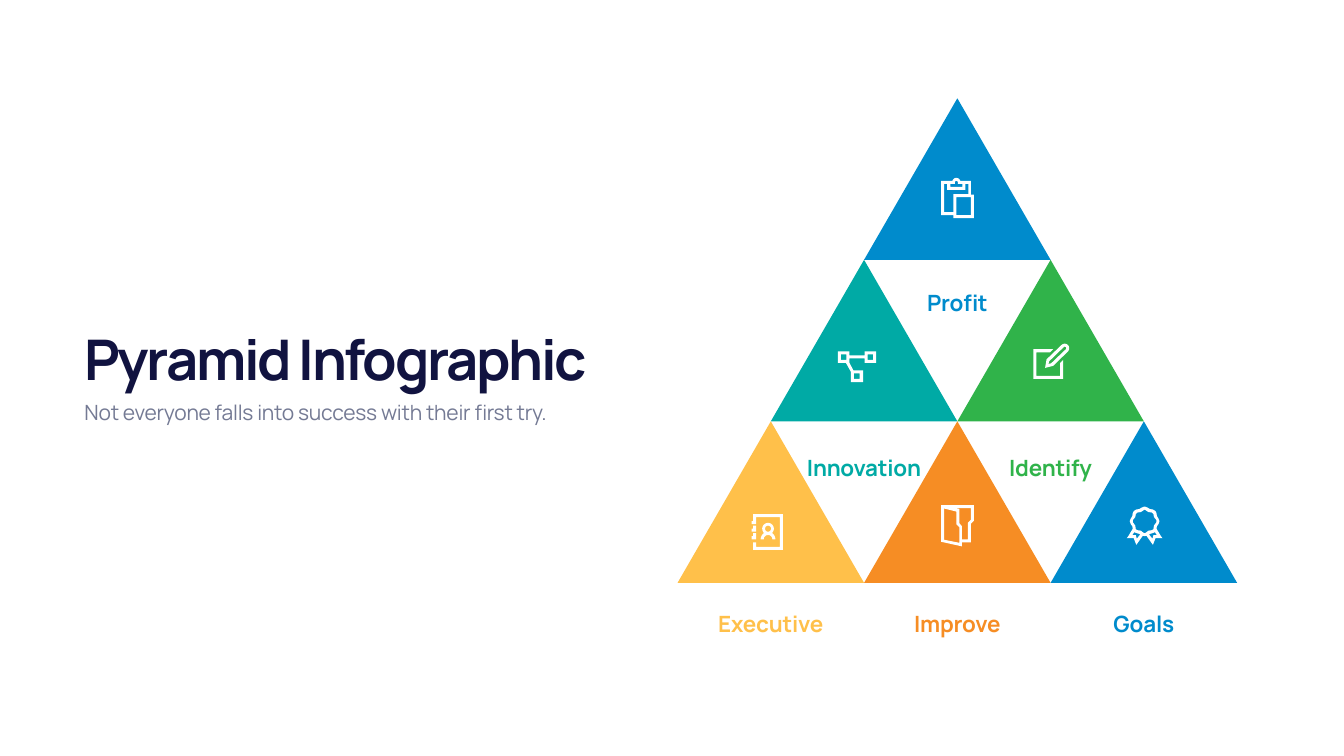
from math import cos, radians, sin

from pptx import Presentation
from pptx.dml.color import RGBColor
from pptx.enum.shapes import MSO_SHAPE
from pptx.enum.text import MSO_ANCHOR as ANCHOR, MSO_AUTO_SIZE as FIT, PP_ALIGN as ALIGN
from pptx.util import Inches, Pt

COLORS = {
    "blue": "008BCC", "orange": "F68D24", "yellow": "FFC04A", "teal": "00AAA5",
    "green": "30B34A", "white": "FFFFFF", "navy": "111340", "gray": "747A94",
}
FONT = "Manrope"
ROWS = [
    [("Profit", "blue")],
    [("Innovation", "teal"), ("Identify", "green")],
    [("Executive", "yellow"), ("Improve", "orange"), ("Goals", "blue")],
]
LABEL_TOPS = [5.69, 8.96, 12.05]
CENTER, TOP, WIDTH, HEIGHT = 18.99, 1.95, 3.7, 3.205
LABEL_WIDTH = 3.23
UNITS_PER_INCH = 1000


def rgb(name):
    """Return the named colour."""
    return RGBColor.from_string(COLORS[name])


def box(x, y, w, h):
    """Return the corners of a rectangle."""
    return [(x, y), (x + w, y), (x + w, y + h), (x, y + h)]


def arc(cx, cy, r, start, end, steps=24):
    """Return points along an arc, with angles in degrees."""
    angles = [radians(start + (end - start) * i / steps) for i in range(steps + 1)]
    return [(cx + r * cos(a), cy + r * sin(a)) for a in angles]


def mirror(points, width=71):
    """Return the points flipped left to right, in reverse order."""
    return [(width - x, y) for x, y in reversed(points)]


def contact_icon():
    """Return the contours of an address book."""
    tabs = [[(3, y), (3, y + 6), (0, y + 6), (0, y + 12), (9, y + 12), (9, y)]
            for y in (23, 38)]
    cover = [(3, 0), (3, 14), (0, 14), (0, 20), (9, 20), (9, 6), (56, 6), (56, 65),
             (9, 65), (9, 56), (3, 56), (3, 71), (62, 71), (62, 0)]
    person = (arc(32.5, 29, 11.5, 140, 400) + arc(32.5, 50, 14.5, 307, 360)
              + arc(32.5, 50, 8.5, 360, 180) + arc(32.5, 50, 14.5, 180, 233))
    return tabs + [cover, person, arc(32.5, 29, 6, 0, 360)]


def badge_icon():
    """Return the contours of an award rosette."""
    edge = [(35.5, 0), (30, 2), (25, 5), (19, 6), (14, 9), (12, 13), (11, 19), (8, 24),
            (6, 29), (8, 35), (11, 39), (12, 44), (3, 59), (0, 63), (14, 63),
            (17, 71), (19, 76), (22, 72), (32, 58), (35.5, 59)]
    center = [(35.5, 6), (28, 11), (21, 12), (18, 15), (17, 21), (12, 27), (12, 31),
              (17, 38), (18, 45), (21, 47), (28, 48), (33, 52), (35.5, 53)]
    ribbon = [(15, 51), (20, 53), (27, 55), (20, 64), (18, 57), (11, 57)]
    return [edge + mirror(edge), center + mirror(center), ribbon, mirror(ribbon)]


def edit_icon():
    """Return the contours of a pencil over a page."""
    page = [(0, 11), (0, 70), (59, 70), (59, 32), (53, 38), (53, 64), (6, 64),
            (6, 17), (33, 17), (39, 11)]
    pencil = [(26, 31), (23, 48), (39, 44)] + arc(62, 9, 9, 45, -135)
    core = [(31, 35), (30, 40), (35, 39)] + arc(62, 9, 3, 45, -135)
    return [page, pencil, core]


def folder_icon():
    """Return the contours of an open folder."""
    edge = [(0, 0), (0, 73), (41, 82), (41, 74), (59, 74), (59, 37), (65, 31), (65, 0)]
    front = [(6, 7), (30, 13), (30, 38), (36, 44), (36, 75), (6, 69)]
    back = [(27, 6), (59, 6), (59, 29), (53, 35), (53, 68), (41, 68), (41, 42),
            (36, 36), (36, 8)]
    return [edge, front, back]


def clipboard_icon():
    """Return the contours of a clipboard with a sheet."""
    edge = [(0, 6), (0, 74), (24, 74), (24, 80), (65, 80), (65, 33), (59, 33),
            (59, 6)] + arc(30, 8, 8, -15, -165)
    board = [(6, 12), (12, 12), (12, 24), (48, 24), (48, 12), (54, 12), (54, 32),
             (24, 32), (24, 68), (6, 68)]
    clip = [(18, 12), (27, 12)] + arc(30, 9, 3, 180, 360) + [(33, 12), (42, 12),
                                                              (42, 18), (18, 18)]
    return [edge, board, clip, box(30, 38, 29, 36)]


def network_icon():
    """Return the contours of three linked nodes."""
    edge = [(0, 0), (0, 23), (16, 23), (26, 41), (26, 61), (50, 61), (50, 38),
            (31, 38), (23, 23), (23, 14), (53, 14), (53, 23), (76, 23), (76, 0),
            (53, 0), (53, 8), (23, 8), (23, 0)]
    return [edge] + [box(x, y, 11, 11) for x, y in ((6, 6), (59, 6), (32, 44))]


ICONS = [
    (14.91, 10.2, contact_icon), (22.35, 10.05, badge_icon), (20.5, 6.82, edit_icon),
    (18.67, 10.02, folder_icon), (18.67, 3.53, clipboard_icon), (16.62, 6.97, network_icon),
]


def paint(sp, color):
    """Give a shape a plain fill without line or shadow."""
    sp.shadow.inherit = False
    sp.fill.solid()
    sp.fill.fore_color.rgb = rgb(color)
    sp.line.fill.background()


def add_triangle(s, center, top, color):
    """Add one triangle of the pyramid."""
    sp = s.shapes.add_shape(MSO_SHAPE.ISOSCELES_TRIANGLE, Inches(center - WIDTH / 2),
                            Inches(top), Inches(WIDTH), Inches(HEIGHT))
    paint(sp, color)


def add_icon(s, left, top, contours):
    """Add a white icon from contours given in hundredths of an inch."""
    scaled = [[(x * 10, y * 10) for x, y in contour] for contour in contours]
    builder = s.shapes.build_freeform(*scaled[0][0], scale=Inches(1) / UNITS_PER_INCH)
    for i, contour in enumerate(scaled):
        if i:
            builder.move_to(*contour[0])
        builder.add_line_segments(contour[1:], close=True)
    paint(builder.convert_to_shape(Inches(left), Inches(top)), "white")


def add_text(s, at, text, size, color, bold=False, tracking=-0.3, spacing=None, frame=None):
    """Add a centred line of text."""
    tf = s.shapes.add_textbox(*map(Inches, at)).text_frame
    frame_format = {"word_wrap": True, "auto_size": FIT.SHAPE_TO_FIT_TEXT, **(frame or {})}
    for name, value in frame_format.items():
        setattr(tf, name, value)
    p = tf.paragraphs[0]
    p.alignment = ALIGN.CENTER
    if spacing:
        p.line_spacing = Pt(spacing)
    r = p.add_run()
    r.text = text
    for name, value in {"name": FONT, "size": Pt(size), "bold": bold}.items():
        setattr(r.font, name, value)
    r.font.color.rgb = rgb(color)
    r._r.get_or_add_rPr().set("spc", str(round(tracking * 100)))


def main():
    """Build the pyramid slide."""
    prs = Presentation()
    prs.slide_width, prs.slide_height = Inches(26.66), Inches(15)
    s = prs.slides.add_slide(prs.slide_layouts[6])
    cells = [(row, CENTER + (2 * col - row) * WIDTH / 2, label, color)
             for row, items in enumerate(ROWS) for col, (label, color) in enumerate(items)]

    for row, center, _, color in cells:
        add_triangle(s, center, TOP + row * HEIGHT, color)
    for left, top, icon in ICONS:
        add_icon(s, left, top, icon())

    add_text(s, (1.49, 6.4, 10.34, 1.42), "Pyramid Infographic", 80, "navy", True, -3.3, 94,
             {"word_wrap": False, "vertical_anchor": ANCHOR.BOTTOM})
    add_text(s, (1.49, 7.85, 9.54, 0.6),
             "Not everyone falls into success with their first try.", 30, "gray", spacing=38.4)
    for row, center, label, color in cells:
        at = (center - LABEL_WIDTH / 2, LABEL_TOPS[row], LABEL_WIDTH, 0.64)
        add_text(s, at, label, 32, color, True)
    prs.save("out.pptx")


if __name__ == "__main__":
    main()
